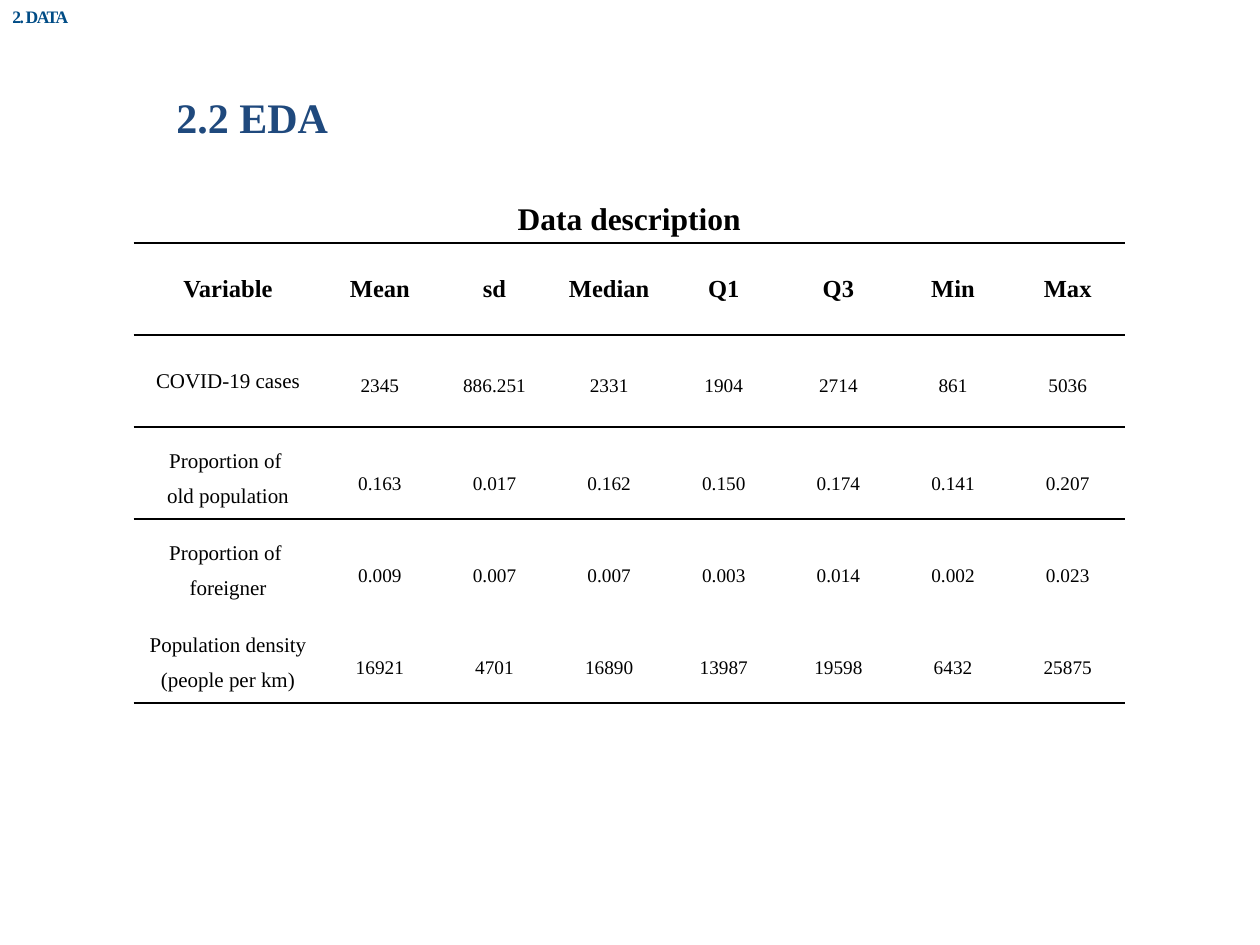
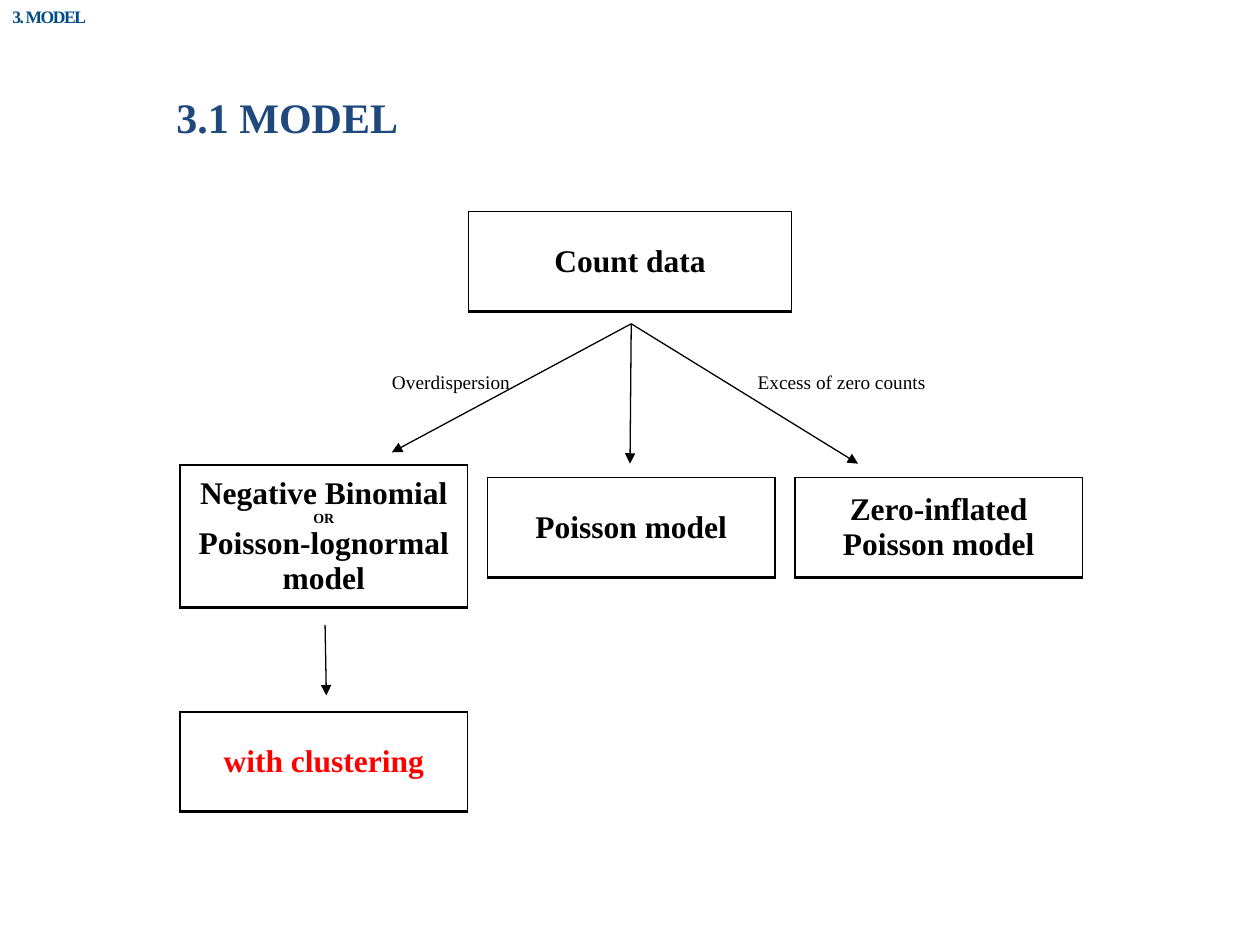
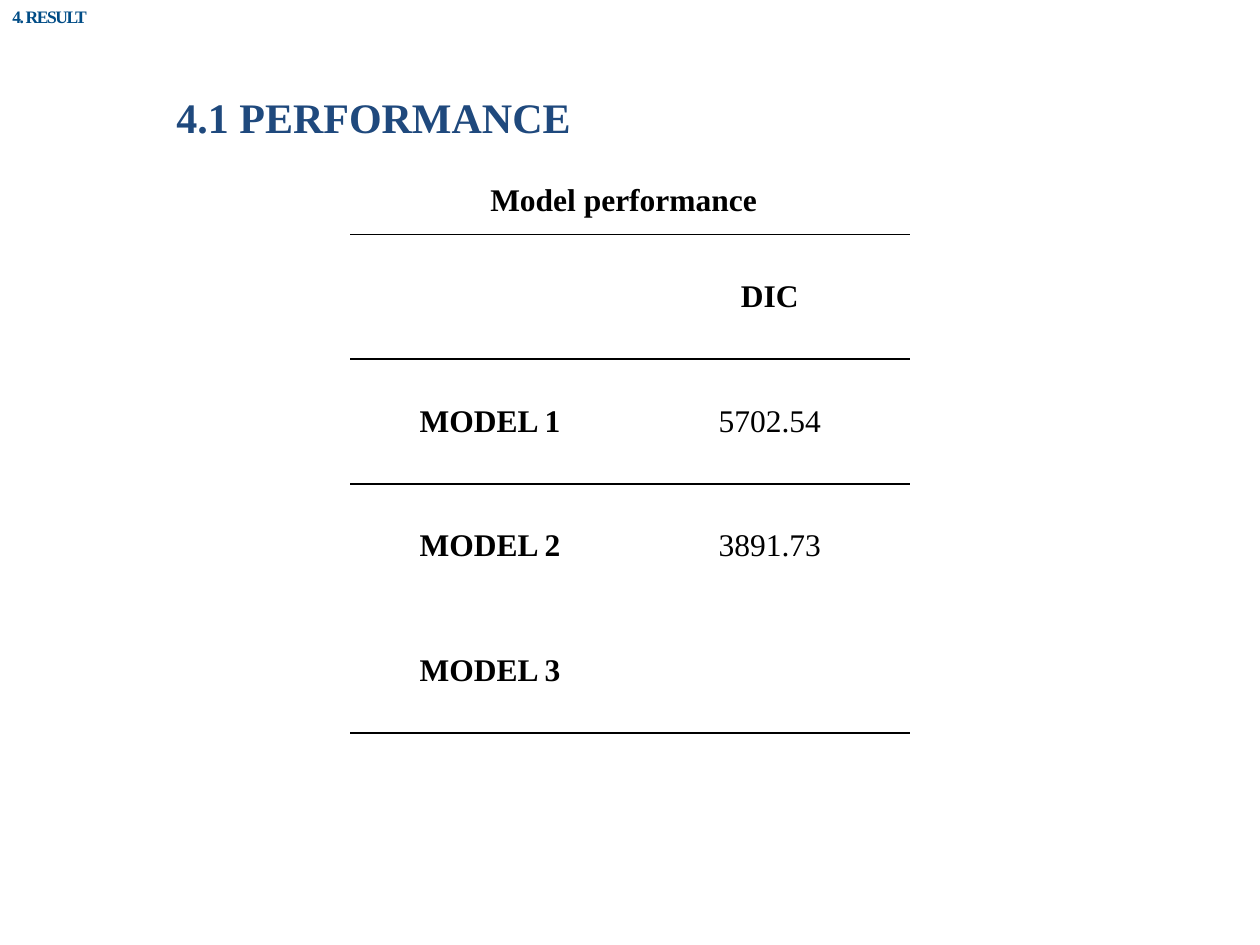
from lxml import etree
from pptx import Presentation
from pptx.dml.color import RGBColor
from pptx.enum.shapes import MSO_CONNECTOR as CONN
from pptx.enum.text import MSO_ANCHOR as ANCHOR, MSO_AUTO_SIZE as AUTOSIZE, PP_ALIGN as ALIGN
from pptx.oxml.ns import qn
from pptx.util import Inches, Pt

FONT = "Times New Roman"
COLORS = {"title": "1F497D", "section": "004C86", "text": "000000", "accent": "FF0000"}
NO_STYLE = "{2D5ABB26-0587-4C30-8999-92F81FD0307C}"

STATS_HEAD = ["Variable", "Mean", "sd", "Median", "Q1", "Q3", "Min", "Max"]
STATS = [
    (["COVID-19 cases"], ["2345", "886.251", "2331", "1904", "2714", "861", "5036"]),
    (["Proportion of ", "old population"],
     ["0.163", "0.017", "0.162", "0.150", "0.174", "0.141", "0.207"]),
    (["Proportion of ", "foreigner"],
     ["0.009", "0.007", "0.007", "0.003", "0.014", "0.002", "0.023"]),
    (["Population density", "(people per km)"],
     ["16921", "4701", "16890", "13987", "19598", "6432", "25875"]),
]
DIC = [("", "DIC"), ("MODEL 1", "5702.54"), ("MODEL 2", "3891.73"), ("MODEL 3", "")]

# Flow chart: three columns of boxes below a wider root box
BOX_W, BOX_H, COL_LEFT, COL_STEP = 2.28, 0.79, 1.43, 2.44
BOXES = [  # left, top, width, height, (text, size) lines, colour
    (3.72, 1.68, 2.56, BOX_H, [("Count data", 18)], "text"),
    (COL_LEFT, 3.69, BOX_W, 1.13,
     [("Negative Binomial", 18), ("OR", 8), ("Poisson-lognormal model", 18)], "text"),
    (COL_LEFT + COL_STEP, 3.79, BOX_W, BOX_H, [("Poisson model", 18)], "text"),
    (COL_LEFT + 2 * COL_STEP, 3.79, BOX_W, BOX_H, [("Zero-inflated Poisson model", 18)], "text"),
    (COL_LEFT, 5.65, BOX_W, BOX_H, [("with clustering", 18)], "accent"),
]
FORK = (5.01, 2.57)
ARROWS = [(FORK, (3.11, 3.59)), (FORK, (5, 3.68)), (FORK, (6.81, 3.68)),
          ((2.58, 4.96), (2.59, 5.52))]
BRANCH_LABELS = [("Overdispersion", 2.95, 1.26), ("Excess of zero counts", 5.91, 1.54)]


def inches(*values):
    return [Inches(v) for v in values]


def write(tf, lines, color="text", bold=False, align=ALIGN.CENTER, spacing=None):
    """Fill a text frame with one paragraph per (text, size) line."""
    for i, (text, size) in enumerate(lines):
        p = tf.paragraphs[0] if i == 0 else tf.add_paragraph()
        p.alignment = align
        if spacing:
            p.line_spacing = spacing
        r = p.add_run()
        r.text = text
        r.font.name, r.font.size, r.font.bold = FONT, Pt(size), bold
        r.font.color.rgb = RGBColor.from_string(COLORS[color])
    return p


def add_text(s, box, text, size, **style):
    tf = s.shapes.add_textbox(*inches(*box)).text_frame
    tf.word_wrap = True
    return write(tf, [(text, size)], **style)


def add_slide(prs, section, title):
    s = prs.slides.add_slide(prs.slide_layouts[5])
    sp = s.shapes.title
    sp.left, sp.top, sp.width, sp.height = inches(1.3, 0.68, 5.83, 0.5)
    tf = sp.text_frame
    tf.auto_size, tf.vertical_anchor = AUTOSIZE.NONE, ANCHOR.TOP
    write(tf, [(title, 24)], "title", True, ALIGN.LEFT)
    p = add_text(s, (0, 0, 1.46, 0.27), section, 10,
                 color="section", bold=True, align=ALIGN.LEFT)
    p.runs[0].font._element.set("spc", "-80")
    return s


def add_table(s, left, top, col_widths, row_h, n_rows):
    """Add an unstyled table and return it."""
    frame = s.shapes.add_table(n_rows, len(col_widths),
                               *inches(left, top, sum(col_widths), row_h * n_rows))
    table = frame.table
    table._tbl.tblPr.find(qn("a:tableStyleId")).text = NO_STYLE
    table.first_row = table.horz_banding = False
    for col, width in zip(table.columns, col_widths):
        col.width = Inches(width)
    for row in table.rows:
        row.height = Inches(row_h)
    return table


def set_cell(cell, lines, borders, tight=False, **style):
    """Write a cell; borders maps sides L, R, T, B to widths in points."""
    cell.vertical_anchor = ANCHOR.MIDDLE
    if tight:
        cell.margin_left = cell.margin_right = Inches(0.07)
        cell.margin_top = cell.margin_bottom = 0
    tcPr = cell._tc.get_or_add_tcPr()
    for side in "LRTB":
        if side in borders:
            ln = etree.SubElement(tcPr, qn(f"a:ln{side}"), w=str(Pt(borders[side])))
            fill = etree.SubElement(ln, qn("a:solidFill"))
            etree.SubElement(fill, qn("a:srgbClr"), val=COLORS["text"])
    cell.fill.background()
    if lines[0][0]:
        write(cell.text_frame, lines, **style)


def row_borders(row, rules):
    """Borders of a row, given the numbers of the ruled grid lines."""
    return {side: 1 for side, line in (("T", row), ("B", row + 1)) if line in rules}


def add_arrow(s, start, end):
    c = s.shapes.add_connector(CONN.STRAIGHT, *inches(*start, *end))
    c.line.width = Pt(0.75)
    c.line.color.rgb = RGBColor.from_string(COLORS["text"])
    etree.SubElement(c.line._get_or_add_ln(), qn("a:tailEnd"), type="triangle")
    etree.SubElement(c._element.spPr, qn("a:effectLst"))


def build_data(prs):
    s = add_slide(prs, "2. DATA", "2.2 EDA")
    table = add_table(s, 1.06, 1.93, [1.5] + [0.91] * 7, 0.73, len(STATS) + 1)
    rules = {0, 1, 2, 5}
    for c, text in enumerate(STATS_HEAD):
        set_cell(table.cell(0, c), [(text, 14)], row_borders(0, rules), bold=True)
    for r, (label, values) in enumerate(STATS, 1):
        borders, first = row_borders(r, rules), r == 1
        set_cell(table.cell(r, 0), [(text, 12) for text in label], borders,
                 tight=not first, spacing=None if first else 1.5)
        for c, value in enumerate(values, 1):
            set_cell(table.cell(r, c), [(value, 11)], borders,
                     tight=True, spacing=1.5 if first else 2.0)
    add_text(s, (1.06, 1.53, 7.87, 0.4), "Data description", 18, bold=True)


def build_model(prs):
    s = add_slide(prs, "3. MODEL", "3.1 MODEL")
    for left, top, width, height, lines, color in BOXES:
        table = add_table(s, left, top, [width], height, 1)
        set_cell(table.cell(0, 0), lines, {"L": 1, "R": 1, "T": 1, "B": 2},
                 color=color, bold=True)
    for start, end in ARROWS:
        add_arrow(s, start, end)
    for text, left, width in BRANCH_LABELS:
        add_text(s, (left, 2.89, width, 0.29), text, 11)


def build_result(prs):
    s = add_slide(prs, "4. RESULT", "4.1 PERFORMANCE")
    table = add_table(s, 2.78, 1.86, [2.22] * 2, 0.99, len(DIC))
    for r, row in enumerate(DIC):
        for c, text in enumerate(row):
            set_cell(table.cell(r, c), [(text, 18)], row_borders(r, {0, 1, 4}),
                     bold=r == 0 or c == 0)
    add_text(s, (3.57, 1.38, 2.76, 0.4), "Model performance", 18, bold=True)


def main():
    prs = Presentation()
    prs.slide_width, prs.slide_height = inches(10, 7.5)
    for build in (build_data, build_model, build_result):
        build(prs)
    prs.save("out.pptx")


if __name__ == "__main__":
    main()
